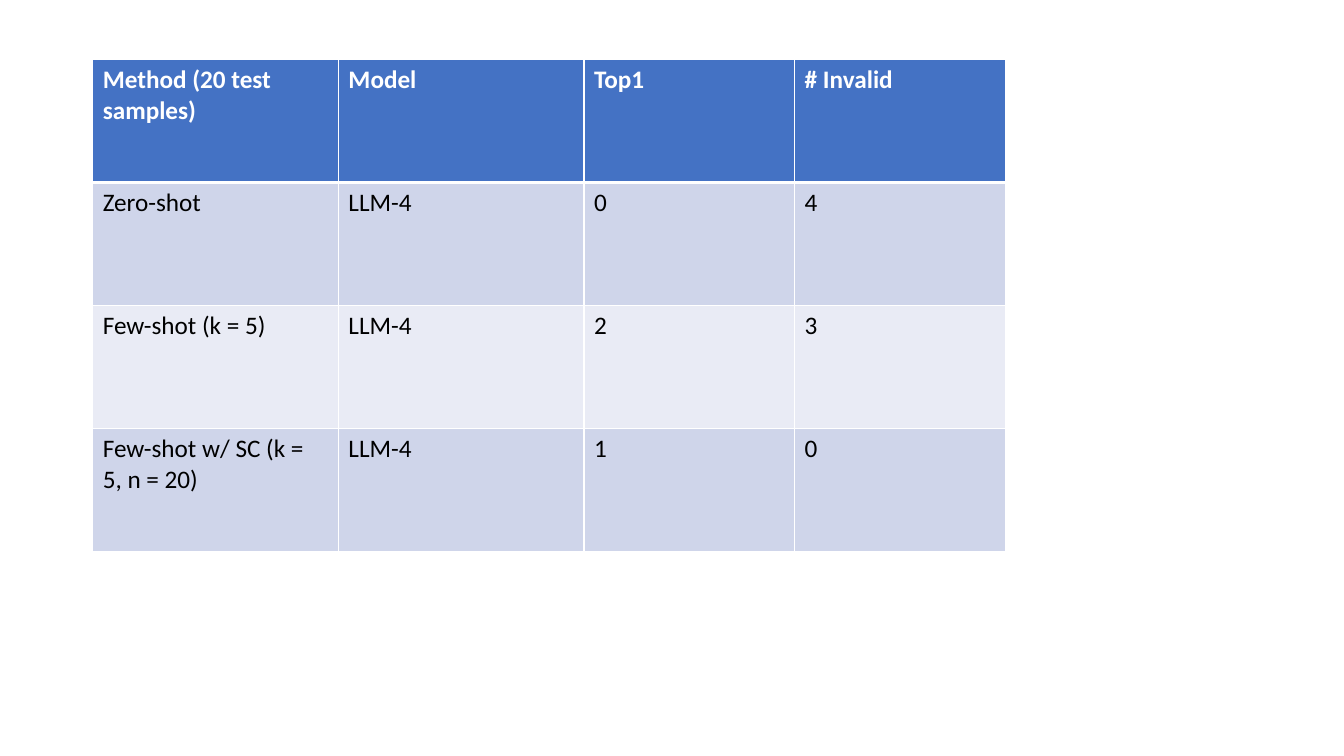
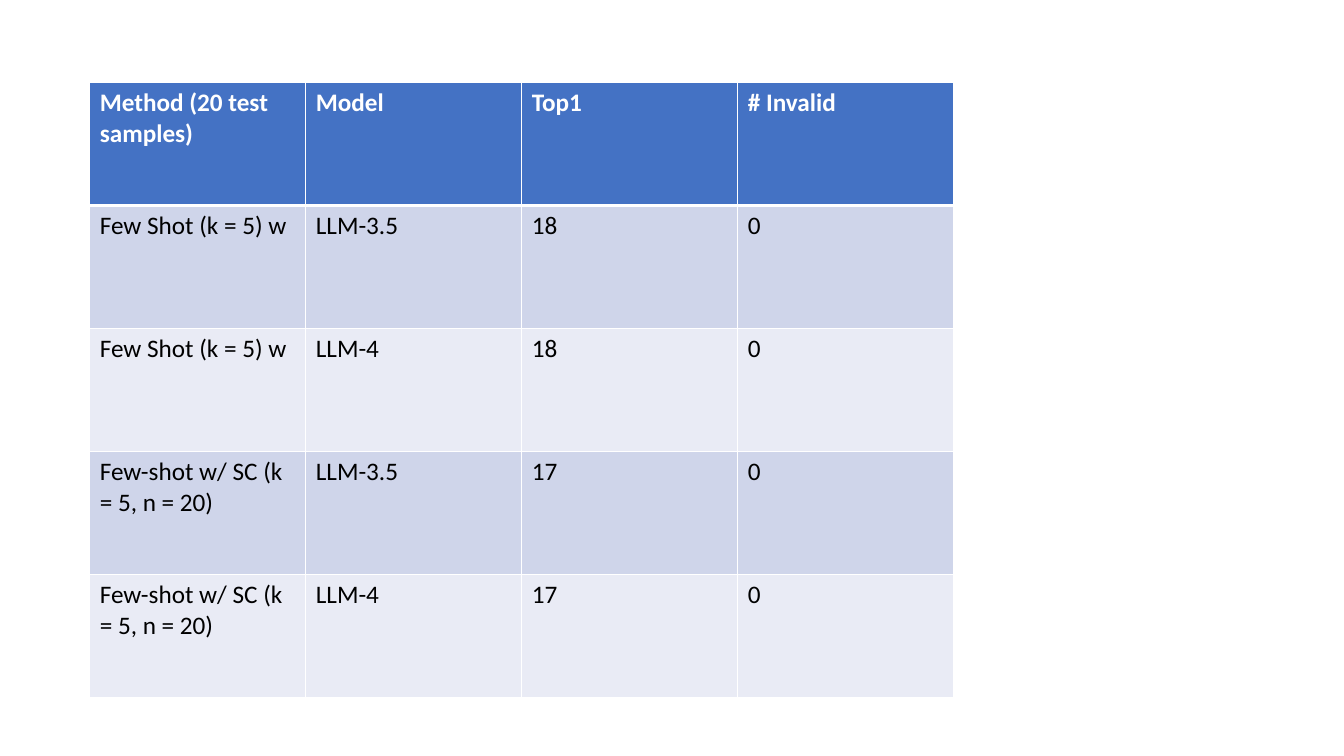
from lxml.etree import SubElement
from pptx import Presentation
from pptx.dml.color import RGBColor
from pptx.oxml.ns import qn
from pptx.util import Inches, Pt

# Shared style
WHITE = RGBColor(0xFF, 0xFF, 0xFF)
BLACK = RGBColor(0x00, 0x00, 0x00)
HEADER_BLUE = RGBColor(0x44, 0x72, 0xC4)
BANDS = (RGBColor(0xCF, 0xD5, 0xEA), RGBColor(0xE9, 0xEB, 0xF5))
FONT, TEXT_SIZE = "Calibri", Pt(18)
THIN_RULE, HEADER_RULE = Pt(1), Pt(3)
BLANK_LAYOUT = 6
ROW_SHARE = 16.27  # row height, percent of the slide height

HEADINGS = ("Method (20 test samples)", "Model", "Top1", "# Invalid")
SELF_CONSISTENT = "Few-shot w/ SC (k = 5, n = 20)"

deck = Presentation()
deck.slide_width, deck.slide_height = Inches(13.33), Inches(7.5)


def across(percent):
    return round(deck.slide_width * percent / 100)


def down(percent):
    return round(deck.slide_height * percent / 100)


def rule_cell(cell, top, bottom):
    """Draw the white rules around a cell; call before filling it."""
    properties = cell._tc.get_or_add_tcPr()
    sides = {"a:lnL": THIN_RULE, "a:lnR": THIN_RULE, "a:lnT": top, "a:lnB": bottom}
    for side, thickness in sides.items():
        rule = SubElement(properties, qn(side), w=str(thickness))
        solid = SubElement(rule, qn("a:solidFill"))
        SubElement(solid, qn("a:srgbClr"), val=str(WHITE))


def style_cell(cell, text, row):
    is_header = row == 0
    rule_cell(cell,
              top=HEADER_RULE if row == 1 else THIN_RULE,
              bottom=HEADER_RULE if is_header else THIN_RULE)
    cell.fill.solid()
    cell.fill.fore_color.rgb = HEADER_BLUE if is_header else BANDS[(row - 1) % 2]
    cell.text = text
    font = cell.text_frame.paragraphs[0].font
    font.name, font.size, font.bold = FONT, TEXT_SIZE, is_header
    font.color.rgb = WHITE if is_header else BLACK


def results_slide(left, top, width, column_weights, results):
    """Add a slide with a results table; left, top and width are percents."""
    slide = deck.slides.add_slide(deck.slide_layouts[BLANK_LAYOUT])
    lines = [HEADINGS, *results]
    table = slide.shapes.add_table(
        len(lines), len(HEADINGS), across(left), down(top),
        across(width), down(ROW_SHARE * len(lines))).table

    # Column grid
    for column, weight in zip(table.columns, column_weights):
        column.width = across(width * weight / sum(column_weights))

    # Header and banded rows
    for row, line in enumerate(lines):
        table.rows[row].height = down(ROW_SHARE)
        for column, text in enumerate(line):
            style_cell(table.cell(row, column), text, row)


# First results
results_slide(6.9, 7.87, 67.9, (7, 7, 6, 6), [
    ("Zero-shot", "LLM-4", "0", "4"),
    ("Few-shot (k = 5)", "LLM-4", "2", "3"),
    (SELF_CONSISTENT, "LLM-4", "1", "0"),
])

# Comparison of both models
results_slide(6.68, 10.93, 64.29, (1, 1, 1, 1), [
    ("Few Shot (k = 5) w", "LLM-3.5", "18", "0"),
    ("Few Shot (k = 5) w", "LLM-4", "18", "0"),
    (SELF_CONSISTENT, "LLM-3.5", "17", "0"),
    (SELF_CONSISTENT, "LLM-4", "17", "0"),
])

deck.save("out.pptx")
